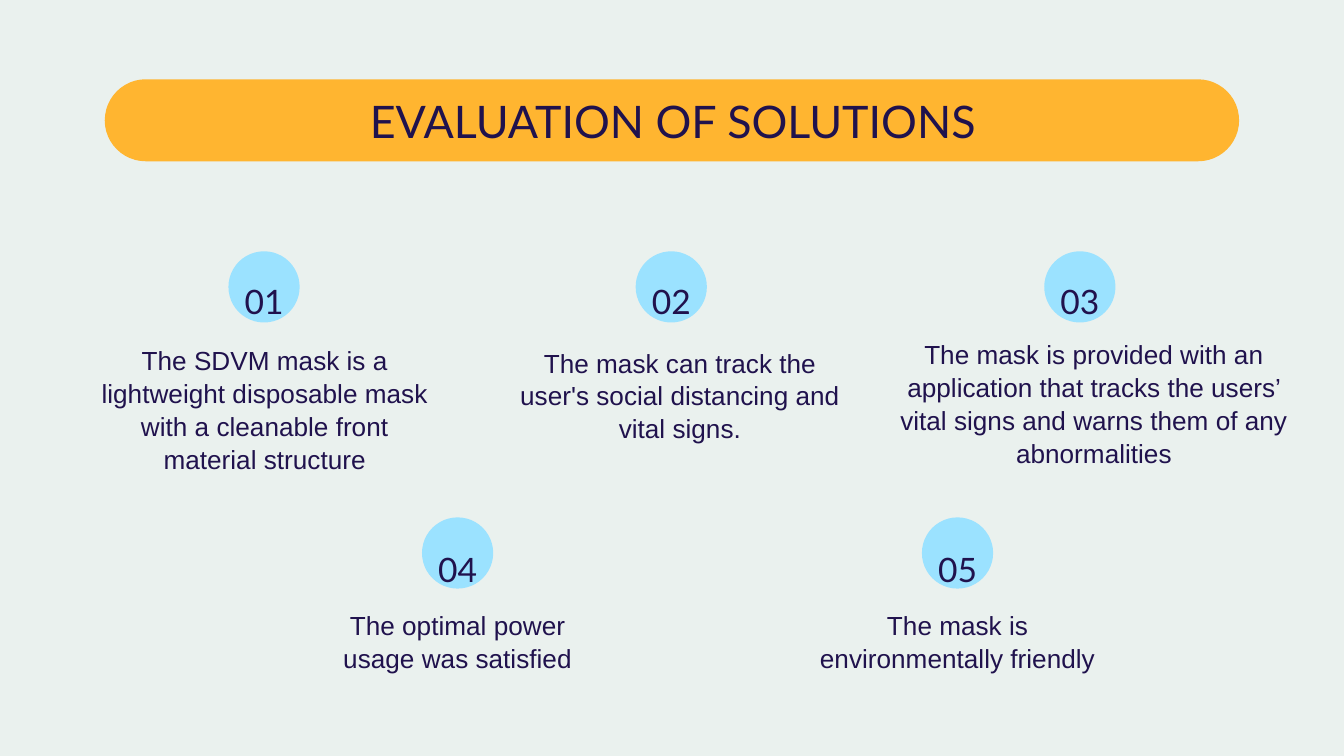
from pptx import Presentation
from pptx.dml.color import RGBColor
from pptx.enum.shapes import MSO_SHAPE
from pptx.enum.text import MSO_ANCHOR, PP_ALIGN
from pptx.util import Inches, Pt

BACKGROUND = RGBColor(0xEA, 0xF1, 0xEE)
ORANGE = RGBColor(0xFF, 0xB5, 0x30)
SKY = RGBColor(0x9B, 0xE2, 0xFF)
NAVY = RGBColor(0x20, 0x12, 0x4D)
ROUNDED = MSO_SHAPE.ROUNDED_RECTANGLE
OVAL = MSO_SHAPE.OVAL
TOP, MIDDLE = MSO_ANCHOR.TOP, MSO_ANCHOR.MIDDLE
CENTER = PP_ALIGN.CENTER

WIDTH, HEIGHT = Inches(10), Inches(5.625)
COLUMNS, ROWS = 100, 56.25
CIRCLE = 5.3


def write(frame, text, font="Arial", size=14, spacing=1.05, anchor=TOP, top=0.18, bottom=0):
    frame.word_wrap = True
    frame.vertical_anchor = anchor
    frame.margin_left = frame.margin_right = Inches(0.1)
    frame.margin_top, frame.margin_bottom = Inches(top), Inches(bottom)
    paragraph = frame.paragraphs[0]
    paragraph.text = text
    paragraph.alignment = CENTER
    paragraph.line_spacing = spacing
    paragraph.font.name = font
    paragraph.font.size = Pt(size)
    paragraph.font.color.rgb = NAVY


class SlideBuilder:
    def __init__(self, presentation):
        self.slide = presentation.slides.add_slide(presentation.slide_layouts[6])
        fill = self.slide.background.fill
        fill.solid()
        fill.fore_color.rgb = BACKGROUND

    def place(self, center, top, width, height):
        column, row = WIDTH / COLUMNS, HEIGHT / ROWS
        left = center - width / 2
        return [round(length) for length in (left * column, top * row, width * column, height * row)]

    def shape(self, kind, color, *area):
        shape = self.slide.shapes.add_shape(kind, *self.place(*area))
        shape.shadow.inherit = False
        shape.fill.solid()
        shape.fill.fore_color.rgb = color
        shape.line.fill.background()
        return shape

    def text(self, text, *area, **style):
        box = self.slide.shapes.add_textbox(*self.place(*area))
        write(box.text_frame, text, **style)

    def banner(self, title):
        shape = self.shape(ROUNDED, ORANGE, 50, 5.9, 84.4, 6.1)
        shape.adjustments[0] = 0.5
        self.text(title, 50.05, 6, 79.5, 6, font="Lato", size=24, spacing=1, top=0.1, bottom=0.1)

    def solution(self, number, center, top, caption, caption_center, caption_top, caption_width):
        self.shape(OVAL, SKY, center, top, CIRCLE, CIRCLE)
        number_top = top + (0.6 if top < ROWS / 2 else 0.8)
        self.text(f"{number:02}", center, number_top, 9, 4, font="Lato", size=18, anchor=MIDDLE, top=0.2)
        self.text(caption, caption_center, caption_top, caption_width, 8.3)


SOLUTIONS = [
    (19.65, 18.7, "The SDVM mask is a lightweight disposable mask with a cleanable front material structure",
     19.7, 23.7, 27.8),
    (49.95, 18.7, "The mask can track the user's social distancing and vital signs.", 50.6, 23.9, 27),
    (80.35, 18.7, "The mask is provided with an application that tracks the users’ vital signs "
     "and warns them of any abnormalities", 81.4, 23.3, 31.4),
    (34.05, 38.5, "The optimal power usage was satisfied", 34.05, 43.4, 23.5),
    (71.25, 38.5, "The mask is environmentally friendly", 71.25, 43.4, 23.5),
]


def main():
    presentation = Presentation()
    presentation.slide_width, presentation.slide_height = WIDTH, HEIGHT
    builder = SlideBuilder(presentation)
    builder.banner("EVALUATION OF SOLUTIONS")
    for number, solution in enumerate(SOLUTIONS, 1):
        builder.solution(number, *solution)
    presentation.save("out.pptx")


if __name__ == "__main__":
    main()
